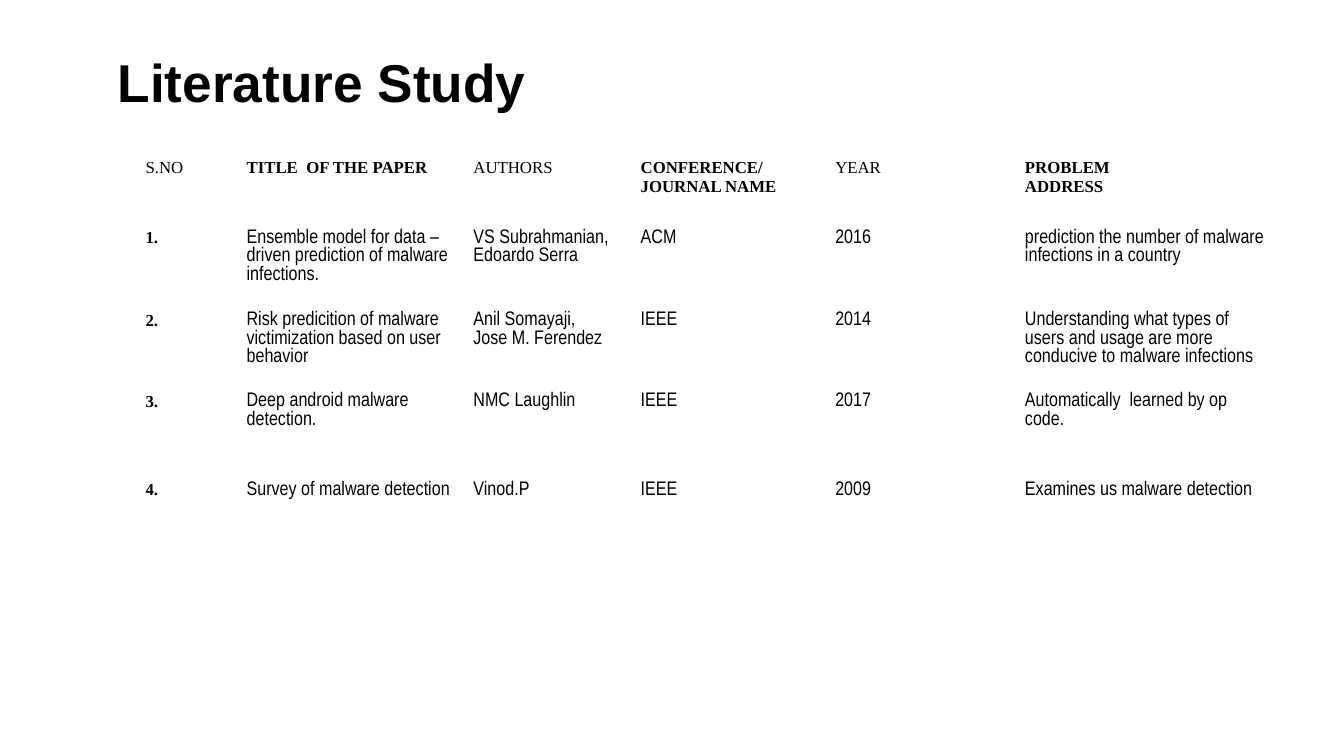
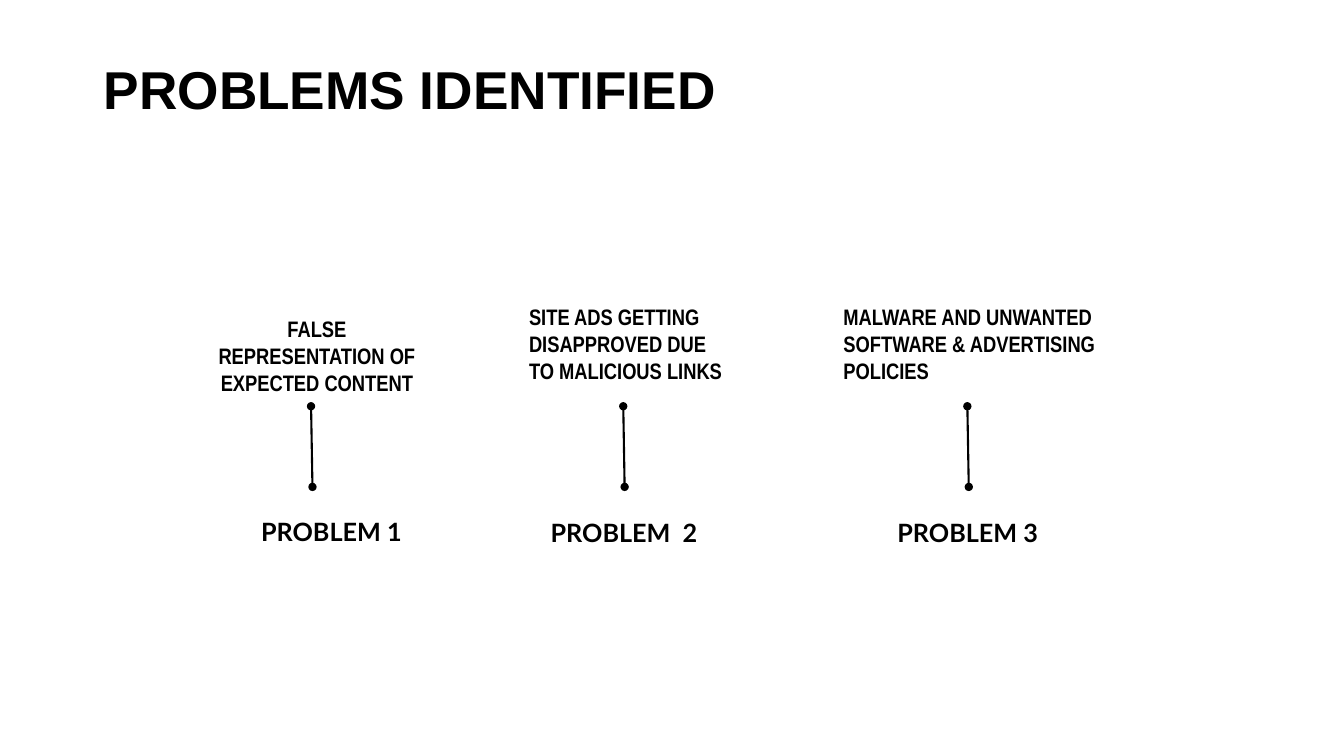
import pptx
import pptx.util
import pptx.dml.color
import pptx.enum.shapes
import pptx.enum.text
import lxml.etree

Pt = pptx.util.Pt
ALIGN = pptx.enum.text.PP_ALIGN
ANCHOR = pptx.enum.text.MSO_ANCHOR
COLORS = {"ink": "000000", "paper": "FFFFFF"}
FONTS = {"title": "Arial", "body": "Arial Narrow", "head": "Times New Roman", "label": "Lato"}


class Deck:
    """Shared style and the slide being built."""

    def __init__(self):
        self.prs = pptx.Presentation()
        self.prs.slide_width, self.prs.slide_height = Pt(960), Pt(540)
        self.s = None

    def color(self, name):
        return pptx.dml.color.RGBColor.from_string(COLORS[name])

    def slide(self):
        self.s = self.prs.slides.add_slide(self.prs.slide_layouts[6])
        fill = self.s.background.fill
        fill.solid()
        fill.fore_color.rgb = self.color("paper")

    def set_text(self, tf, text, font, size, bold=True, align=ALIGN.LEFT, spacing=None):
        tf.word_wrap = True
        tf.text = text
        for p in tf.paragraphs:
            p.alignment = align
            if spacing:
                p.line_spacing = Pt(spacing)
            for r in p.runs:
                r.font.name, r.font.size, r.font.bold = FONTS[font], Pt(size), bold
                r.font.color.rgb = self.color("ink")

    def text(self, x, y, w, h, text, font, size, inset=(7.2, 7.2), anchor=ANCHOR.MIDDLE, **style):
        tf = self.s.shapes.add_textbox(Pt(x), Pt(y), Pt(w), Pt(h)).text_frame
        tf.margin_left = tf.margin_right = Pt(inset[0])
        tf.margin_top = tf.margin_bottom = Pt(inset[1])
        tf.vertical_anchor = anchor
        self.set_text(tf, text, font, size, **style)

    def title(self, x, y, w, text):
        self.text(x, y, w, 53.3, text, "title", 38, inset=(7.2, 3.6), anchor=ANCHOR.TOP)

    def table(self, x, y, widths, heights, rows):
        frame = self.s.shapes.add_table(len(rows), len(widths), Pt(x), Pt(y),
                                        Pt(sum(widths)), Pt(sum(heights)))
        tbl = frame.table
        tbl.first_row = tbl.horz_banding = False
        for col, w in zip(tbl.columns, widths):
            col.width = Pt(w)
        for i, (row, h) in enumerate(zip(rows, heights)):
            tbl.rows[i].height = Pt(h)
            for j, text in enumerate(row):
                self.cell(tbl.cell(i, j), text, i == 0, j)

    def cell(self, cell, text, header, col):
        cell.fill.background()
        cell.margin_top = Pt(17.4 if header else 13.6)
        align = ALIGN.LEFT if col else ALIGN.CENTER
        if header:
            # Header weights alternate from column to column
            self.set_text(cell.text_frame, text, "head", 12, bold=col % 2 == 1, align=align)
            if col == 0:
                cell.margin_left = Pt(25.2)
        elif col == 0:
            self.set_text(cell.text_frame, text, "head", 12, align=align)
        else:
            self.set_text(cell.text_frame, text, "body", 14, bold=False, spacing=13.2)

    def pin(self, x1, y1, x2, y2):
        sp = self.s.shapes.add_connector(pptx.enum.shapes.MSO_CONNECTOR.STRAIGHT,
                                         Pt(x1), Pt(y1), Pt(x2), Pt(y2))
        sp.line.color.rgb = self.color("ink")
        sp.line.width = Pt(1.5)
        # Round ends, no shadow
        ns = "{http://schemas.openxmlformats.org/drawingml/2006/main}"
        props = sp._element.spPr
        for end in ("headEnd", "tailEnd"):
            lxml.etree.SubElement(props.find(ns + "ln"), ns + end, type="oval")
        lxml.etree.SubElement(props, ns + "effectLst")


def literature_slide(deck):
    deck.slide()
    deck.title(77, 31.7, 480, "Literature Study")
    papers = [
        ("S.NO", "TITLE  OF THE PAPER", "AUTHORS", "CONFERENCE/\nJOURNAL NAME", "YEAR",
         "PROBLEM\nADDRESS"),
        ("1.", "Ensemble model for data – driven prediction of malware infections.",
         "VS Subrahmanian,\nEdoardo Serra", "ACM", "2016",
         "prediction the number of malware infections in a country"),
        ("2.", "Risk predicition of malware victimization based on user behavior",
         "Anil Somayaji,\nJose M. Ferendez", "IEEE", "2014",
         "Understanding what types of users and usage are more\nconducive to malware infections"),
        ("3.", "Deep android malware detection.", "NMC Laughlin", "IEEE", "2017",
         "Automatically  learned by op code."),
        ("4.", "Survey of malware detection", "Vinod.P", "IEEE", "2009",
         "Examines us malware detection"),
    ]
    deck.table(48, 96, (121, 162, 119.5, 139, 135.5, 186), (54, 59, 57.6, 63.4, 116), papers)


def problems_slide(deck):
    deck.slide()
    deck.title(67, 36.7, 582, "PROBLEMS IDENTIFIED")
    # Each problem: text and its box, label and its place, pin foot
    left, center = ALIGN.LEFT, ALIGN.CENTER
    problems = [
        ("FALSE REPRESENTATION OF EXPECTED CONTENT", 145.4, 216, 162, center,
         "PROBLEM 1", 186.5, 352.8, left, 223.2),
        ("SITE ADS GETTING DISAPPROVED DUE TO MALICIOUS LINKS", 370.8, 207.4, 162, left,
         "PROBLEM  2", 385.2, 353.5, center, 446.2),
        ("MALWARE AND UNWANTED SOFTWARE & ADVERTISING POLICIES", 595.4, 207.4, 219, left,
         "PROBLEM 3", 630.7, 353.5, center, 692),
    ]
    for text, x, y, w, align, label, label_x, label_y, label_align, pin_x in problems:
        deck.text(x, y, w, 76.3, text, "body", 16, align=align, spacing=19)
        deck.text(label_x, label_y, 121, 54, label, "label", 18, inset=(0, 0), align=label_align)
        deck.pin(pin_x, 347.8, pin_x - 1, 290.2)


def main():
    deck = Deck()
    literature_slide(deck)
    problems_slide(deck)
    deck.prs.save("out.pptx")


if __name__ == "__main__":
    main()
